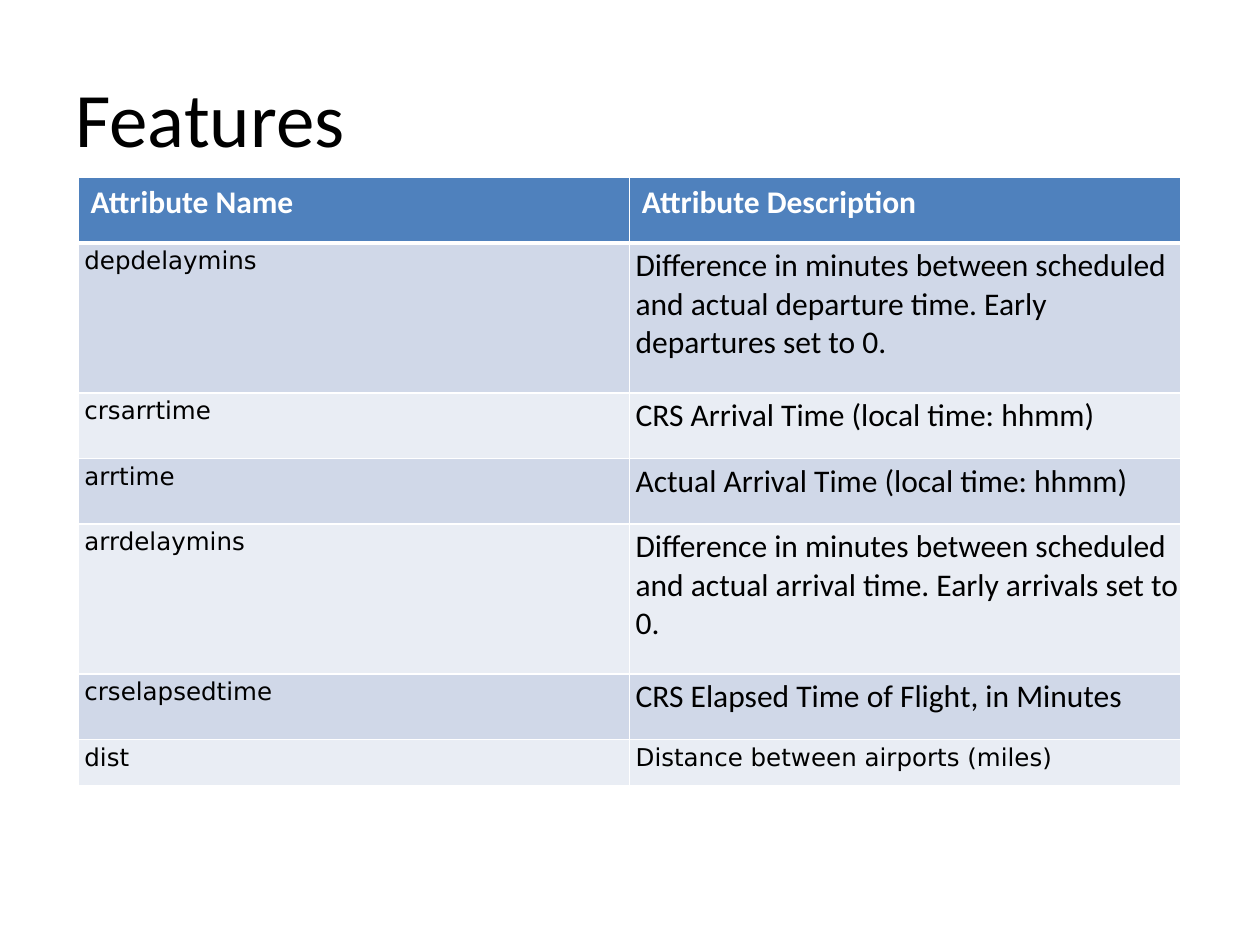
from lxml.etree import SubElement
from pptx import Presentation
from pptx.dml.color import RGBColor
from pptx.enum.text import MSO_ANCHOR
from pptx.oxml.ns import qn
from pptx.util import Inches, Pt

COLORS = {
    "text": "000000",
    "white": "FFFFFF",
    "header": "4F81BD",
    "bands": ("D0D8E8", "E9EDF4"),
}
BODY_FONT = ("Calibri", 18)
NAME_FONT = ("DejaVu Sans", 14)

HEADER = ("Attribute Name", "Attribute Description")
FEATURES = [
    ("depdelaymins", "Difference in minutes between scheduled and actual departure time. "
                     "Early departures set to 0.", 1.19),
    ("crsarrtime", "CRS Arrival Time (local time: hhmm)", 0.52),
    ("arrtime", "Actual Arrival Time (local time: hhmm)", 0.52),
    ("arrdelaymins", "Difference in minutes between scheduled and actual arrival time. "
                     "Early arrivals set to 0.", 1.19),
    ("crselapsedtime", "CRS Elapsed Time of Flight, in Minutes", 0.52),
    ("dist", "Distance between airports (miles)", 0.37),
]


class SlideBuilder:
    """Holds the style and the slide being filled."""

    def __init__(self, slide, colors):
        self.slide = slide
        self.colors = colors

    def set_text(self, text_frame, text, font, color, bold=False):
        text_frame.text = text
        name, size = font
        for run in text_frame.paragraphs[0].runs:
            run.font.name = name
            run.font.size = Pt(size)
            run.font.bold = bold
            run.font.color.rgb = RGBColor.from_string(color)

    def title(self, text, left, top, width, height):
        box = self.slide.shapes.add_textbox(
            Inches(left), Inches(top), Inches(width), Inches(height))
        box.text_frame.word_wrap = True
        box.text_frame.vertical_anchor = MSO_ANCHOR.MIDDLE
        self.set_text(box.text_frame, text, ("Calibri", 44), self.colors["text"])

    def borders(self, cell, **widths):
        """Draw white cell borders; widths are points keyed by side L, R, T, B."""
        properties = cell._tc.get_or_add_tcPr()
        for side, width in widths.items():
            line = SubElement(properties, qn(f"a:ln{side}"), w=str(Pt(width)))
            fill = SubElement(line, qn("a:solidFill"))
            SubElement(fill, qn("a:srgbClr"), val=self.colors["white"])

    def cell(self, cell, text, font, fill, top_border=1, bottom_border=1, header=False):
        color = self.colors["white" if header else "text"]
        self.set_text(cell.text_frame, text, font, color, bold=header)
        if not header:
            cell.margin_left, cell.margin_top = Inches(0.05), Inches(0.03)
            cell.margin_right = cell.margin_bottom = 0
        self.borders(cell, L=1, R=1, T=top_border, B=bottom_border)
        cell.fill.solid()
        cell.fill.fore_color.rgb = RGBColor.from_string(fill)

    def features_table(self, left, top, width, header_height):
        heights = [header_height] + [height for _, _, height in FEATURES]
        table = self.slide.shapes.add_table(
            len(heights), len(HEADER), Inches(left), Inches(top),
            Inches(width), Inches(sum(heights))).table
        for row, height in zip(table.rows, heights):
            row.height = Inches(height)
        for column, text in enumerate(HEADER):
            self.cell(table.cell(0, column), text, BODY_FONT, self.colors["header"],
                      bottom_border=3, header=True)
        for row, (name, description, _) in enumerate(FEATURES, start=1):
            band = self.colors["bands"][(row - 1) % 2]
            top_border = 3 if row == 1 else 1
            description_font = NAME_FONT if name == "dist" else BODY_FONT
            self.cell(table.cell(row, 0), name, NAME_FONT, band, top_border)
            self.cell(table.cell(row, 1), description, description_font, band, top_border)


def main():
    presentation = Presentation()
    presentation.slide_width, presentation.slide_height = Inches(10), Inches(7.5)
    slide = presentation.slides.add_slide(presentation.slide_layouts[6])
    builder = SlideBuilder(slide, COLORS)
    builder.title("Features", 0.5, 0.3, 9, 1.25)
    builder.features_table(0.62, 1.41, 8.75, header_height=0.52)
    presentation.save("out.pptx")


if __name__ == "__main__":
    main()
